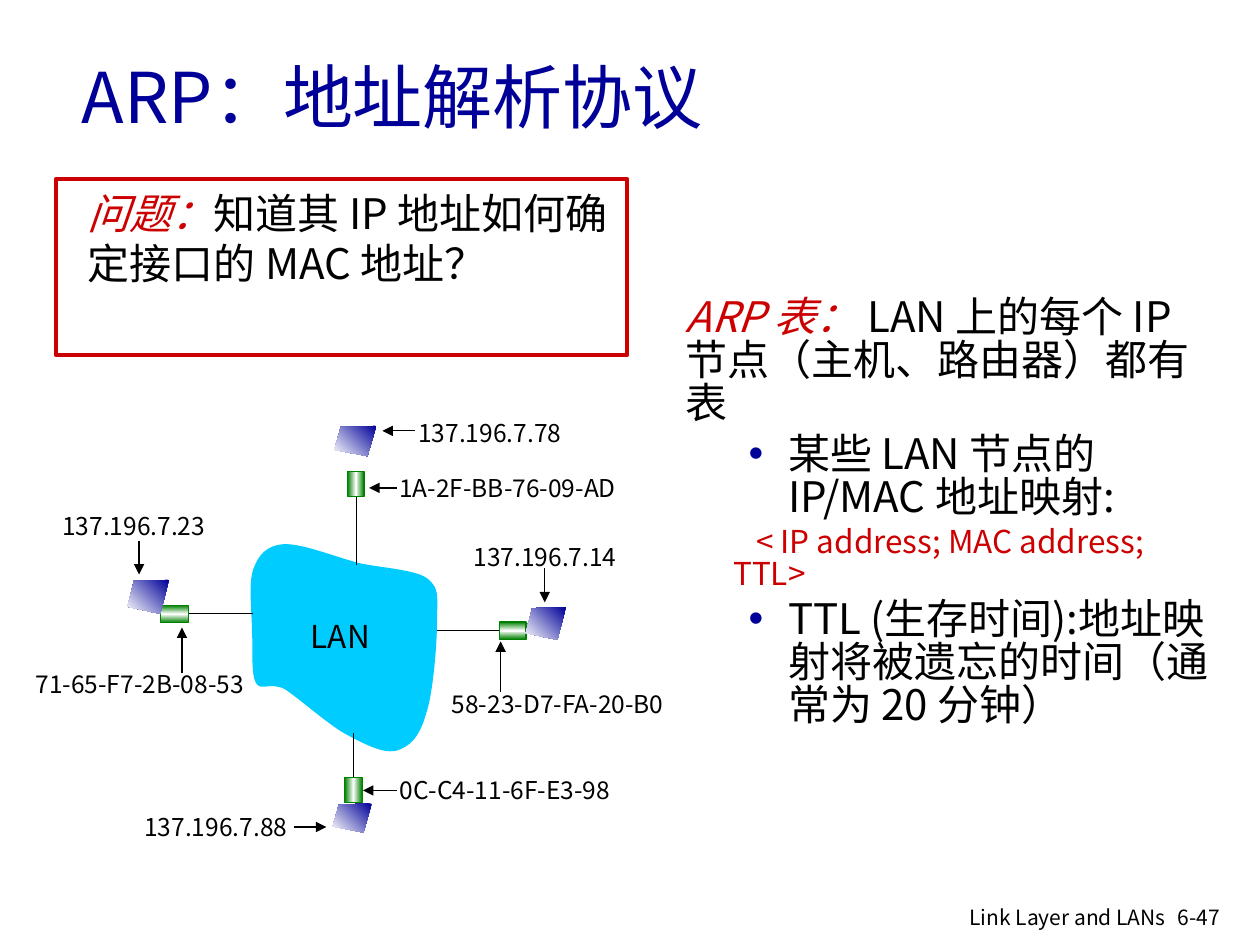
from copy import deepcopy
from lxml.etree import SubElement as Sub
from pptx import Presentation
from pptx.dml.color import RGBColor
from pptx.enum.shapes import MSO_CONNECTOR as Link, MSO_SHAPE as Kind
from pptx.enum.text import MSO_ANCHOR as Anchor, MSO_AUTO_SIZE as Auto, PP_ALIGN as Align
from pptx.oxml.ns import qn
from pptx.util import Pt

FONT = "Noto Sans CJK SC"
BLACK, RED, BLUE, GREEN = "000000", "CC0000", "000099", "008000"
hue = RGBColor.from_string


def write(par, text, size, color=BLACK, italic=False):
    """Add a run in the slide font, for Latin and Chinese alike."""
    run = par.add_run()
    run.text = text
    look = {"name": FONT, "size": Pt(size), "italic": italic}
    for key, val in look.items():
        setattr(run.font, key, val)
    run.font.color.rgb = hue(color)
    Sub(run.font._element, qn("a:ea"), typeface=FONT)


def blend(shape, angle, tones):
    """Fill with a gradient of evenly spaced tones."""
    shape.fill.gradient()
    shape.fill.gradient_angle = angle
    stops = shape._element.spPr.find(".//" + qn("a:gsLst"))
    for _ in tones[2:]:
        stops.append(deepcopy(stops[0]))
    for i, (stop, tone) in enumerate(zip(shape.fill.gradient_stops, tones)):
        stop.color.rgb = hue(tone)
        stop.position = i / (len(tones) - 1)


prs = Presentation()
prs.slide_width, prs.slide_height = Pt(720), Pt(540)
slide = prs.slides.add_slide(prs.slide_layouts[1])
shapes = slide.shapes

# Title and body
title, body = shapes.title, slide.placeholders[1]
spots = [(title, (39.6, 18.7, 645, 71.3), Anchor.MIDDLE),
         (body, (384.6, 167, 314, 305.3), Anchor.TOP)]
for holder, spot, anchor in spots:
    holder.left, holder.top, holder.width, holder.height = map(Pt, spot)
    frame = holder.text_frame
    frame.auto_size, frame.vertical_anchor = Auto.NONE, anchor

head = title.text_frame.paragraphs[0]
head.alignment = Align.LEFT
write(head, "ARP：地址解析协议", 40, BLUE)

# Each item: level, left margin, first-line indent, bullet, size, runs
items = [
    (0, 0, 0, False, 24, [("ARP 表： ", RED, True),
                          ("LAN 上的每个 IP 节点（主机、路由器）都有表", BLACK, False)]),
    (1, 58.5, -22.5, True, 24, [("某些 LAN 节点的 IP/MAC 地址映射:", BLACK, False)]),
    (0, 27.2, 13, False, 18, [("< IP address; MAC address; TTL>", RED, False)]),
    (1, 58.5, -22.5, True, 24,
     [("TTL (生存时间):地址映射将被遗忘的时间（通常为 20 分钟）", BLACK, False)]),
]
frame = body.text_frame
for i, (level, margin, indent, dot, size, runs) in enumerate(items):
    par = frame.add_paragraph() if i else frame.paragraphs[0]
    par.level, par.line_spacing = level, 0.85
    par.space_before = Pt(size * 0.2 if i else 0)
    props = par._p.get_or_add_pPr()
    props.set("marL", str(Pt(margin)))
    props.set("indent", str(Pt(indent)))
    if dot:
        Sub(Sub(props, qn("a:buClr")), qn("a:srgbClr"), val=BLUE)
        Sub(props, qn("a:buChar"), char="•")
    else:
        Sub(props, qn("a:buNone"))
    for text, color, italic in runs:
        write(par, text, size, color, italic)

# Question in its red frame
box = shapes.add_textbox(Pt(43), Pt(103.5), Pt(315.4), Pt(94.3))
box.text_frame.word_wrap = True
par = box.text_frame.paragraphs[0]
write(par, "问题：", 24, RED, True)
write(par, "知道其 IP 地址如何确定接口的 MAC 地址？", 24)
rim = shapes.add_shape(Kind.RECTANGLE, Pt(32), Pt(102.2), Pt(326.4), Pt(100.8))
rim.shadow.inherit = False
rim.fill.background()
rim.line.color.rgb, rim.line.width = hue(RED), Pt(2.25)

# LAN cloud: Bezier pieces, each two control points and an end point
start = (162, 311)
curves = [
    ((151.9, 311.8), (147.6, 317.5), (144.7, 325.4)),
    ((141.8, 334.1), (144, 349.9), (144, 360.7)),
    ((144.7, 371.5), (143.3, 384.5), (146.2, 390.2)),
    ((149, 395.3), (154.1, 389.5), (162.7, 393.8)),
    ((170.6, 398.9), (185.8, 412.6), (196.6, 419)),
    ((207.4, 424.8), (218.2, 430.6), (226.1, 429.1)),
    ((234, 427), (239.8, 421.2), (243.4, 408.2)),
    ((247.7, 396), (249.8, 366.5), (249.8, 353.5)),
    ((249.8, 340.6), (251.3, 336.2), (244.1, 330.5)),
    ((236.9, 325.4), (218.9, 324.7), (205.2, 321.8)),
    ((191.5, 318.2), (172.1, 310.3), start),
]
pen = shapes.build_freeform(*map(Pt, start))
pen.add_line_segments([(Pt(x), Pt(y)) for curve in curves for x, y in curve], close=True)
cloud = pen.convert_to_shape()
# Join each three straight segments into one curve
route = cloud._element.spPr.find(".//" + qn("a:path"))
legs = route.findall(qn("a:lnTo"))
for i in range(0, len(legs), 3):
    bend = Sub(route, qn("a:cubicBezTo"))
    for leg in legs[i:i + 3]:
        bend.append(leg[0])
        route.remove(leg)
route.append(route.find(qn("a:close")))
cloud.shadow.inherit = False
cloud.fill.solid()
cloud.fill.fore_color.rgb = hue("00CCFF")
cloud.line.fill.background()

# Cables, then label arrows
cables = [(106.6, 350.6, 144.7, 350.6), (203.8, 283.7, 203.8, 322.6),
          (285.1, 360.3, 249.8, 360.3), (201.8, 445, 201.8, 419)]
arrows = [(226.8, 278.8, 211, 278.8), (286.1, 395.3, 286.1, 366.5),
          (226.8, 451.7, 207.4, 451.7), (104, 384.5, 104, 358.6),
          (79.5, 308.9, 79.5, 328.3), (237, 246.2, 218.5, 246.2),
          (311.3, 324.7, 311.3, 344.2), (168.2, 472.6, 186.5, 472.6)]
for ends in cables + arrows:
    line = shapes.add_connector(Link.STRAIGHT, *map(Pt, ends))
    line.line.color.rgb, line.line.width = hue(BLACK), Pt(0.75)
    props = line._element.spPr
    if ends in arrows:
        Sub(props.find(qn("a:ln")), qn("a:tailEnd"), type="triangle")
    Sub(props, qn("a:effectLst"))

# Labels: text, left, top, width, size, alignment
labels = [
    ("1A-2F-BB-76-09-AD", 221, 266.7, 150.5, 14, Align.LEFT),
    ("58-23-D7-FA-20-B0", 251, 390.2, 147.6, 14, Align.LEFT),
    ("0C-C4-11-6F-E3-98", 221.5, 439.2, 146.2, 14, Align.LEFT),
    ("71-65-F7-2B-08-53", 13.2, 378.7, 144.7, 14, Align.LEFT),
    ("LAN", 170.5, 349.2, 48, 18, Align.LEFT),
    ("137.196.7.23", 28.5, 288.7, 100, 14, Align.LEFT),
    ("137.196.7.78", 232, 235.4, 100, 14, Align.LEFT),
    ("137.196.7.14", 263.5, 306, 100, 14, Align.LEFT),
    ("137.196.7.88", 75.4, 460.4, 100, 14, Align.LEFT),
    ("6-47", 666, 513.4, 43.2, 12, Align.LEFT),
    ("Link Layer and LANs", 502, 513.4, 171.4, 12, Align.RIGHT),
]
for text, left, top, width, size, align in labels:
    box = shapes.add_textbox(Pt(left), Pt(top), Pt(width), Pt(size * 1.75))
    box.text_frame.word_wrap = False
    par = box.text_frame.paragraphs[0]
    par.alignment = align
    write(par, text, size)

# Network cards
cards = [(288, 352.8, 10, 15.1, 270), (94.7, 343, 10, 15.8, 270),
         (198.7, 269.3, 9.4, 14.4, 0), (197, 444.2, 10, 14.4, 0)]
for *spot, turn in cards:
    card = shapes.add_shape(Kind.RECTANGLE, *map(Pt, spot))
    card.rotation = turn
    card.shadow.inherit = False
    blend(card, 0, [GREEN, "FFFFFF", GREEN])
    card.line.color.rgb, card.line.width = hue(GREEN), Pt(0.75)

# Hosts: one slanted outline, scaled to each place
slant = [(1, 0), (0.16, 0.03), (0, 0.79), (0.79, 1)]
hosts = [(300.4, 347, 23, 18.7), (72.8, 331.4, 23.8, 19.4),
         (191, 243.4, 24.1, 17.3), (190.1, 459.2, 22.3, 16.6)]
for left, top, width, height in hosts:
    first, *rest = [(Pt(left + x * width), Pt(top + y * height)) for x, y in slant]
    pen = shapes.build_freeform(*first)
    pen.add_line_segments(rest, close=True)
    host = pen.convert_to_shape()
    host.shadow.inherit = False
    blend(host, 225, [BLUE, "FFFFFF"])
    host.line.fill.background()

prs.save("out.pptx")
